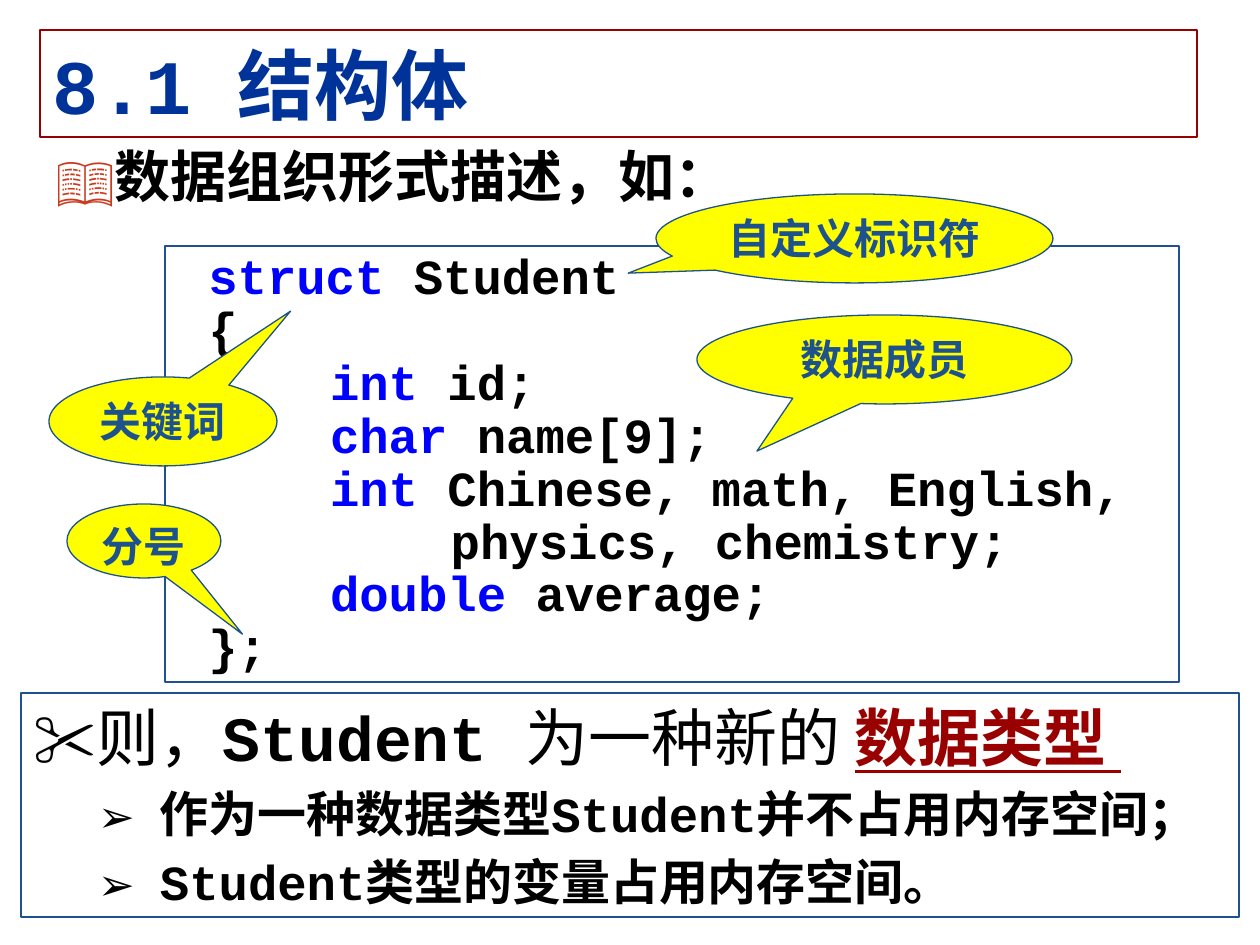
from lxml.etree import SubElement
from pptx import Presentation
from pptx.dml.color import RGBColor
from pptx.enum.shapes import MSO_SHAPE as SHAPE
from pptx.enum.text import MSO_ANCHOR as ANCHOR, PP_ALIGN as ALIGN
from pptx.oxml.ns import qn
from pptx.util import Emu, Pt

PX = 914400 / 126
MONO, HAN = "Courier New", "Noto Sans CJK SC"
BLACK, BLUE, NAVY, RED = "000000", "0000FF", "1D528D", "990000"


def px(n):
    return Emu(round(n * PX))


def rgb(color):
    return RGBColor.from_string(color)


class Deck:
    """Holds the house style and the current slide."""

    def __init__(self, width, height):
        self.prs = Presentation()
        self.prs.slide_width, self.prs.slide_height = px(width), px(height)
        self.s = self.prs.slides.add_slide(self.prs.slide_layouts[6])

    def box(self, at, kind=SHAPE.RECTANGLE, fill=None, line=NAVY, weight=0.75,
            anchor=ANCHOR.TOP, inset=13, wrap=True):
        """Add a shape and return its text frame."""
        sp = self.s.shapes.add_shape(kind, *map(px, at))
        sp.shadow.inherit = False
        if fill:
            sp.fill.solid()
            sp.fill.fore_color.rgb = rgb(fill)
        else:
            sp.fill.background()
        if line:
            sp.line.color.rgb = rgb(line)
            sp.line.width = Pt(weight)
        else:
            sp.line.fill.background()
        tf = sp.text_frame
        frame = dict(word_wrap=wrap, vertical_anchor=anchor, margin_left=px(inset),
                     margin_right=px(13), margin_top=px(6), margin_bottom=px(6))
        for name, value in frame.items():
            setattr(tf, name, value)
        return sp, tf

    def para(self, tf, runs, first=False, left=0, hang=0, bullet=None, **fmt):
        """Add a paragraph of (text, font formats) runs; "\\n" breaks the line."""
        p = tf.paragraphs[0] if first else tf.add_paragraph()
        pPr = p._p.get_or_add_pPr()
        pPr.set("marL", str(px(left)))
        pPr.set("indent", str(-px(hang)))
        if bullet:
            char, color, size = bullet
            SubElement(SubElement(pPr, qn("a:buClr")), qn("a:srgbClr"), val=color)
            SubElement(pPr, qn("a:buSzPct"), val=str(size * 1000))
            SubElement(pPr, qn("a:buFont"), typeface=HAN)
            SubElement(pPr, qn("a:buChar"), char=char)
        for name, value in {"alignment": ALIGN.LEFT, **fmt}.items():
            setattr(p, name, value)
        for text, font in runs:
            if text == "\n":
                p.add_line_break()
            else:
                self.run(p, text, **font)

    def run(self, p, text, color=BLACK, **font):
        r = p.add_run()
        r.text = text
        for name, value in {"name": MONO, "bold": True, **font}.items():
            setattr(r.font, name, value)
        r.font.color.rgb = rgb(color)
        SubElement(r._r.get_or_add_rPr(), qn("a:ea"), typeface=HAN)

    def code(self, at, lines, size):
        """Add a code listing; each line is a level and (text, colour) parts."""
        _, tf = self.box(at)
        for i, (level, parts) in enumerate(lines):
            runs = [(text, dict(size=size, color=color)) for text, color in parts]
            self.para(tf, runs, i == 0, left=63 + 63 * level, hang=62,
                      line_spacing=0.9)

    def callout(self, at, tip, text):
        sp, tf = self.box(at, SHAPE.OVAL_CALLOUT, fill="FFFF00", wrap=False)
        for i, value in enumerate(tip):
            sp.adjustments[i] = value
        self.para(tf, [(text, dict(size=Pt(24), color=NAVY))], True,
                  alignment=ALIGN.CENTER)


deck = Deck(1260, 945)

# Title and lead line
_, tf = deck.box((40, 30, 1157, 107), line=RED, weight=1, anchor=ANCHOR.MIDDLE)
deck.para(tf, [("8.1 结构体", dict(size=Pt(44), color="003399"))], True)
_, tf = deck.box((53, 136, 1155, 741), line=None, inset=3)
deck.para(tf, [("数据组织形式描述，如：", dict(size=Pt(32)))], True,
          left=48, hang=48, bullet=("📖", "CA3B1E", 100))


# Struct listing
def member(keyword, names, *more):
    parts = [("   ", BLACK), (keyword, BLUE), (names, BLACK)]
    return 1, parts + [(text, BLACK) for text in more]


deck.code((165, 246, 1014, 436), [
    (0, [(" ", BLACK), ("struct", BLUE), (" Student", BLACK)]),
    (0, [(" {", BLACK)]),
    member("int", " id;"),
    member("char", " name[9];"),
    member("int", " Chinese, math, English,", "\n", "     physics, chemistry;"),
    member("double", " average;"),
    (0, [(" };", BLACK)]),
], Pt(28))

# Conclusion
_, tf = deck.box((21, 693, 1218, 224), fill="FFFFFF")
plain = dict(size=Pt(36), name=HAN, bold=False)
deck.para(tf, [
    ("则，", plain),
    ("Student ", dict(size=Pt(36))),
    ("为一种新的 ", plain),
    ("数据类型 ", dict(size=Pt(36), name=HAN, color=RED, underline=True)),
], True, left=63, hang=63, bullet=("✂", BLACK, 100))
han, mono = dict(size=Pt(28), name=HAN), dict(size=Pt(28))
for runs in (
    [("作为一种数据类型", han), ("Student", mono), ("并不占用内存空间；", han)],
    [("Student", mono), ("类型的变量占用内存空间。", han)],
):
    deck.para(tf, runs, left=126, hang=62, bullet=("➢", BLACK, 90),
              space_before=Pt(5.2))

# Callouts
for at, tip, text in (
    ((656, 194, 397, 89), (-0.57, 0.39), "自定义标识符"),
    ((697, 315, 375, 89), (-0.34, 1.03), "数据成员"),
    ((67, 504, 154, 74), (0.64, 1.26), "分号"),
    ((49, 377, 228, 89), (0.56, -1.24), "关键词"),
):
    deck.callout(at, tip, text)

deck.prs.save("out.pptx")
